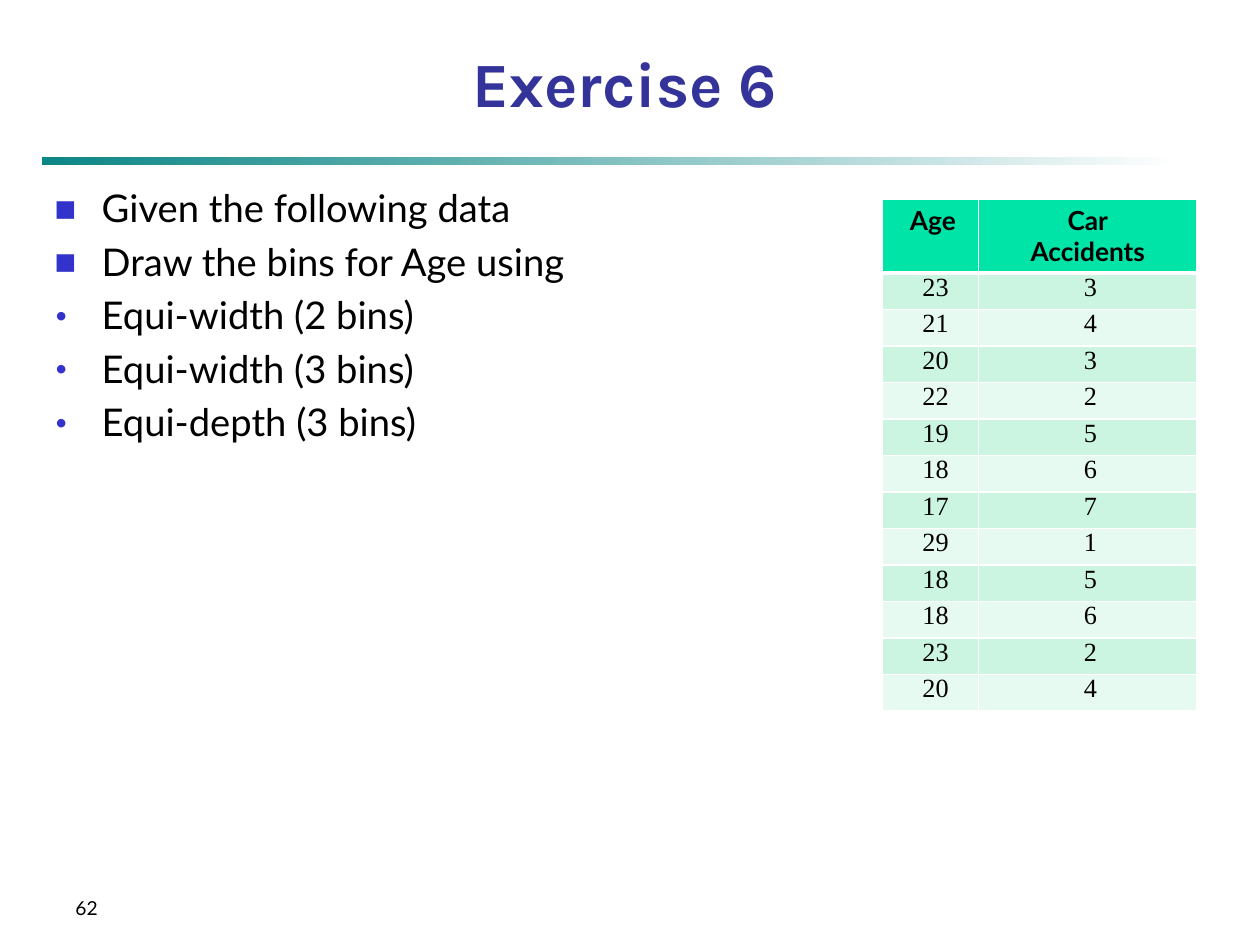
from lxml import etree
from pptx import Presentation
from pptx import util as u
from pptx.dml import color
from pptx.enum import shapes, text
from pptx.oxml import ns

SANS = "Lato"
SERIF = "Times New Roman"
CENTER = text.PP_ALIGN.CENTER
BULLETS = [
    ("■", "Given the following data"),
    ("■", "Draw the bins for Age using"),
    ("•", "Equi-width (2 bins)"),
    ("•", "Equi-width (3 bins)"),
    ("•", "Equi-depth (3 bins)"),
]
HEADERS = ["Age", "Car\nAccidents"]
ACCIDENTS = [(23, 3), (21, 4), (20, 3), (22, 2), (19, 5), (18, 6),
             (17, 7), (29, 1), (18, 5), (18, 6), (23, 2), (20, 4)]


def rgb(value):
    return color.RGBColor.from_string(value)


def add(parent, tag, **attrs):
    child = etree.SubElement(parent, ns.qn(tag))
    for name, value in attrs.items():
        child.set(name, str(value))
    return child


def style(p, size, font=SANS, fill="000000", bold=False):
    for r in p.runs:
        r.font.size = u.Pt(size)
        r.font.name = font
        r.font.bold = bold
        r.font.color.rgb = rgb(fill)


def add_text(s, box, lines, anchor=text.MSO_ANCHOR.TOP):
    tf = s.shapes.add_textbox(*map(u.Cm, box)).text_frame
    tf.word_wrap = True
    tf.vertical_anchor = anchor
    tf.text = "\n".join(lines)
    return tf.paragraphs


def add_title(s, box, title):
    p = add_text(s, box, [title], text.MSO_ANCHOR.BOTTOM)[0]
    p.alignment = CENTER
    style(p, 36, "Karla", "333399", True)


def add_rule(s, box):
    sp = s.shapes.add_shape(shapes.MSO_SHAPE.RECTANGLE, *map(u.Cm, box))
    sp.shadow.inherit = False
    sp.line.fill.background()
    sp.fill.gradient()
    sp.fill.gradient_angle = 0
    for stop, value in zip(sp.fill.gradient_stops, ("008080", "FFFFFF")):
        stop.color.rgb = rgb(value)
    start = next(sp._element.iter(ns.qn("a:srgbClr")))
    add(start, "a:alpha", val=95000)


def add_bullets(s, box, bullets):
    paragraphs = add_text(s, box, [line for _, line in bullets])
    for p, (mark, _) in zip(paragraphs, bullets):
        style(p, 21.8)
        p.space_before = u.Pt(4.36)
        pPr = p._p.get_or_add_pPr()
        pPr.set("marL", str(u.Cm(0.95)))
        pPr.set("indent", str(u.Cm(-0.95)))
        add(add(pPr, "a:buClr"), "a:srgbClr", val="3333CC")
        add(pPr, "a:buSzPct", val=60000)
        add(pPr, "a:buFont", typeface=SANS)
        add(pPr, "a:buChar", char=mark)


def format_cell(cell, value, fill, row, column):
    header = row == 0
    cell.margin_left = cell.margin_bottom = u.Cm(0.1)
    cell.margin_right = u.Cm(0.1 * column)
    cell.margin_top = u.Cm(0.1 if header else 0)
    tcPr = cell._tc.get_or_add_tcPr()
    widths = {"L": 1, "R": 1, "T": 3 if row == 1 else 1, "B": 3 if header else 1}
    for side, width in widths.items():
        ln = add(tcPr, f"a:ln{side}", w=u.Pt(width))
        add(add(ln, "a:solidFill"), "a:srgbClr", val="FFFFFF")
    cell.fill.solid()
    cell.fill.fore_color.rgb = rgb(fill)
    cell.text_frame.text = str(value)
    for p in cell.text_frame.paragraphs:
        p.alignment = CENTER
        style(p, 15, SANS if header else SERIF, bold=header)
        if not header:
            p._p.get_or_add_pPr().set("marL", str(u.Cm(0.11)))


def add_data_table(s, box, headers, records):
    left, top, width, height = box
    rows = [headers, *records]
    table = s.shapes.add_table(len(rows), len(headers), *map(u.Cm, box)).table
    table.horz_banding = False
    age_width, header_height = 1.95, 1.48
    table.columns[0].width = u.Cm(age_width)
    table.columns[1].width = u.Cm(width - age_width)
    row_height = (height - header_height) / len(records)
    for i, values in enumerate(rows):
        table.rows[i].height = u.Cm(row_height if i else header_height)
        fill = ("CCF5E1" if i % 2 else "E7FAF1") if i else "00E4A8"
        for j, value in enumerate(values):
            format_cell(table.cell(i, j), value, fill, i, j)


def add_page_number(s, box, number):
    style(add_text(s, box, [number], text.MSO_ANCHOR.BOTTOM)[0], 11)


def main():
    prs = Presentation()
    prs.slide_width, prs.slide_height = u.Cm(25.4), u.Cm(19.05)
    s = prs.slides.add_slide(prs.slide_layouts[6])
    add_rule(s, (0.85, 3.17, 22.86, 0.14))
    add_title(s, (0.43, 0.85, 24.33, 1.7), "Exercise 6")
    add_bullets(s, (0.85, 3.6, 23.28, 14.4), BULLETS)
    add_page_number(s, (1.27, 17.35, 5.9, 1.3), "62")
    add_data_table(s, (17.78, 4.02, 6.35, 10.32), HEADERS, ACCIDENTS)
    prs.save("out.pptx")


if __name__ == "__main__":
    main()
